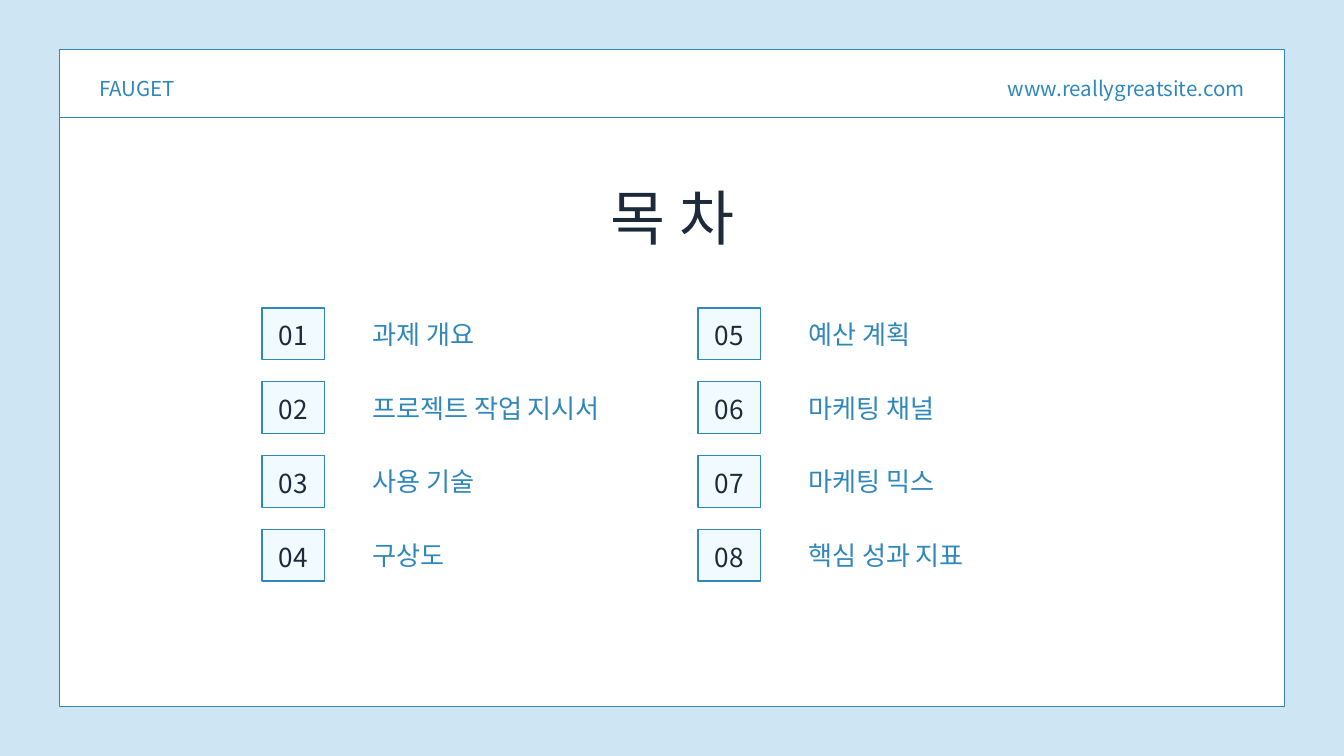
import lxml.etree
import pptx
import pptx.dml.color
import pptx.enum.shapes
import pptx.enum.text
import pptx.oxml.ns
import pptx.util

Cm = pptx.util.Cm
Pt = pptx.util.Pt
Align = pptx.enum.text.PP_ALIGN

SKY = pptx.dml.color.RGBColor(0xCE, 0xE6, 0xF4)
WHITE = pptx.dml.color.RGBColor(0xFF, 0xFF, 0xFF)
ICE = pptx.dml.color.RGBColor(0xF1, 0xFA, 0xFF)
BLUE = pptx.dml.color.RGBColor(0x30, 0x87, 0xBB)
NAVY = pptx.dml.color.RGBColor(0x1D, 0x2A, 0x3A)
FONT = "Noto Sans CJK KR"

deck = pptx.Presentation()
deck.slide_width, deck.slide_height = Cm(50.8), Cm(28.58)
page = deck.slides.add_slide(deck.slide_layouts[5])
page.background.fill.solid()
page.background.fill.fore_color.rgb = SKY


def add_panel(left, top, width, height, color):
    panel = page.shapes.add_shape(
        pptx.enum.shapes.MSO_SHAPE.RECTANGLE, Cm(left), Cm(top), Cm(width), Cm(height))
    panel.shadow.inherit = False
    panel.fill.solid()
    panel.fill.fore_color.rgb = color
    panel.line.color.rgb = BLUE
    panel.line.width = Pt(1.5)


def write(text, left, top, width, height, size, spacing, color, align, box=None):
    box = box or page.shapes.add_textbox(0, 0, 0, 0)
    box.left, box.top, box.width, box.height = Cm(left), Cm(top), Cm(width), Cm(height)
    frame_format = {
        "margin_left": 0, "margin_top": 0, "margin_right": 0, "margin_bottom": 0,
        "word_wrap": True, "vertical_anchor": pptx.enum.text.MSO_ANCHOR.TOP,
        "auto_size": pptx.enum.text.MSO_AUTO_SIZE.SHAPE_TO_FIT_TEXT,
    }
    for name, value in frame_format.items():
        setattr(box.text_frame, name, value)
    para = box.text_frame.paragraphs[0]
    para.alignment = align
    para.line_spacing = Pt(spacing)
    span = para.add_run()
    span.text = text
    for name, value in {"name": FONT, "size": Pt(size)}.items():
        setattr(span.font, name, value)
    span.font.color.rgb = color
    # Korean characters take the East Asian font
    east_asian = lxml.etree.SubElement(
        span.font._element, pptx.oxml.ns.qn("a:ea"))
    east_asian.set("typeface", FONT)


# White frame with the header rule
add_panel(2.26, 1.88, 46.3, 24.82, WHITE)
rule = page.shapes.add_connector(
    pptx.enum.shapes.MSO_CONNECTOR.STRAIGHT, Cm(2.26), Cm(4.45), Cm(48.56), Cm(4.45))
rule.line.color.rgb = BLUE
rule.line.width = Pt(1.5)
lxml.etree.SubElement(rule._element.spPr, pptx.oxml.ns.qn("a:effectLst"))

# Header
write("www.reallygreatsite.com", 36.6, 2.71, 10.44, 1.07, 22, 30.8, BLUE, Align.RIGHT)
write("FAUGET", 3.76, 2.71, 8.18, 1.07, 22, 30.8, BLUE, Align.LEFT)

# Title, brought in front of the frame
title = page.shapes.title
page.shapes._spTree.append(title._element)
write("목 차", 17.63, 6.38, 15.57, 3.02, 64, 89.6, NAVY, Align.CENTER, title)

# Contents: two columns of four numbered entries
entries = [
    "과제 개요", "프로젝트 작업 지시서", "사용 기술", "구상도",
    "예산 계획", "마케팅 채널", "마케팅 믹스", "핵심 성과 지표",
]
ROWS, ROW_STEP, COLUMN_STEP = 4, 2.79, 16.48
for index, entry in enumerate(entries):
    column, row = divmod(index, ROWS)
    left = 9.91 + column * COLUMN_STEP
    top = 11.64 + row * ROW_STEP
    add_panel(left, top, 2.36, 1.96, ICE)
    write(f"{index + 1:02}", left - 0.46, top + 0.44, 3.28, 1.14,
          28, 33.6, NAVY, Align.CENTER)
    write(entry, left + 4.16, top + 0.39, 10.8, 1.19, 28, 33.6, BLUE, Align.LEFT)

deck.save("out.pptx")
